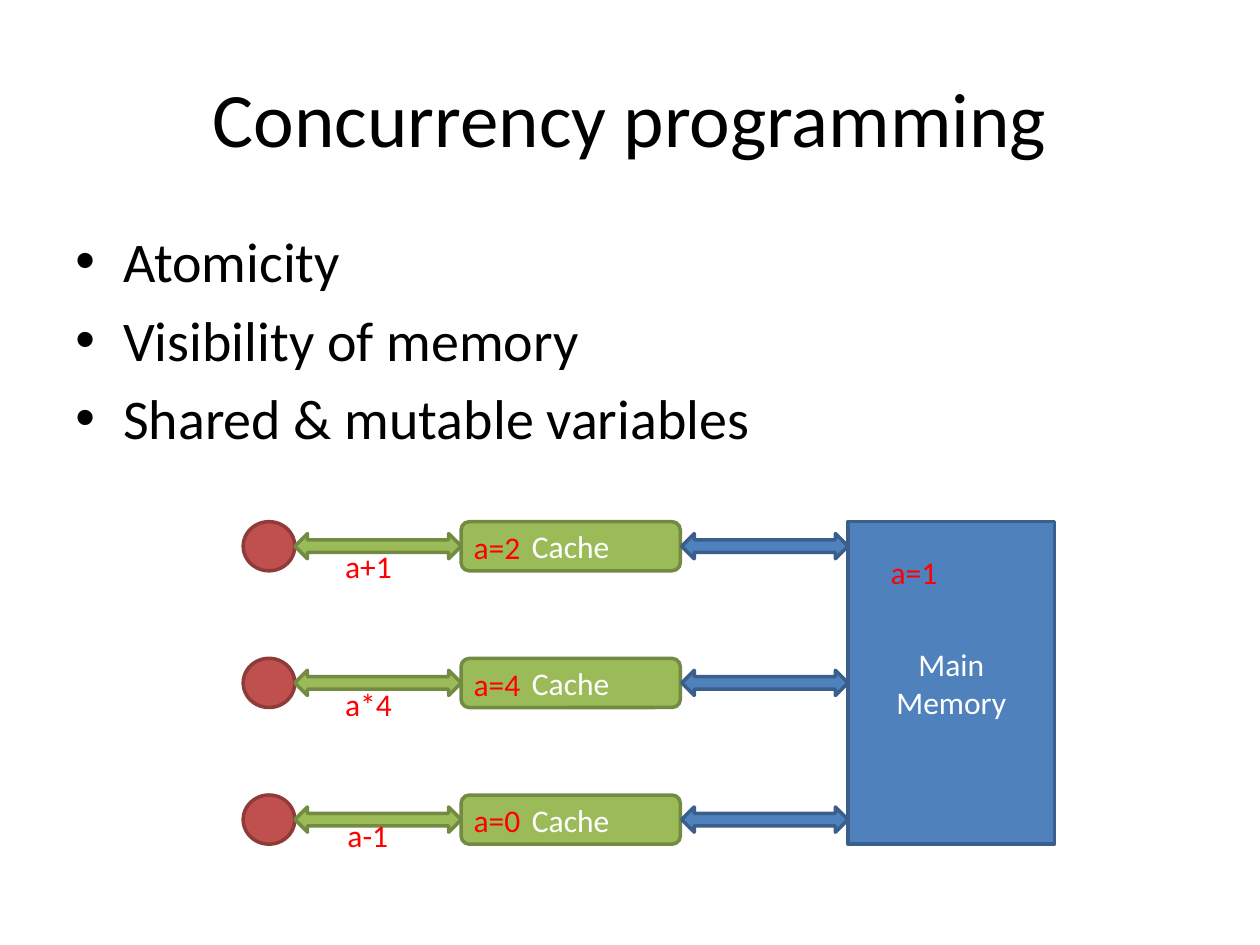
import pptx
import pptx.util
from lxml import etree
from pptx.dml.color import RGBColor
from pptx.enum.shapes import MSO_SHAPE
from pptx.enum.text import MSO_ANCHOR, MSO_AUTO_SIZE, PP_ALIGN
from pptx.oxml.ns import qn

Inches, Pt = pptx.util.Inches, pptx.util.Pt

FONT = "Calibri"
BLACK = RGBColor(0x00, 0x00, 0x00)
WHITE = RGBColor(0xFF, 0xFF, 0xFF)
RED = RGBColor(0xFF, 0x00, 0x00)
# Fill and outline of each kind of part
THREAD = RGBColor(0xC0, 0x50, 0x4D), RGBColor(0x8E, 0x3B, 0x39)
CACHE = RGBColor(0x9B, 0xBB, 0x59), RGBColor(0x73, 0x8A, 0x42)
MEMORY = RGBColor(0x4F, 0x81, 0xBD), RGBColor(0x3A, 0x5F, 0x8C)

# Diagram grid, in inches
TOP, PITCH, ROW_H = 4.14, 1.085, 0.39
THREAD_X, CACHE_X, MEMORY_X = 1.93, 3.66, 6.73
THREAD_W, CACHE_W, MEMORY_W = 0.41, 1.74, 1.64
ARROW_W, ARROW_H = 1.32, 0.2

# Cached value, operation, and the operation label's left, drop and width
ROWS = [
    ("a=2", "a+1", 2.64, 0.15, 0.58),
    ("a=4", "a*4", 2.64, 0.16, 0.58),
    ("a=0", "a-1", 2.66, 0.12, 0.53),
]
TOPICS = ["Atomicity", "Visibility of memory", "Shared & mutable variables"]


def style(paragraph, size, color, align=PP_ALIGN.LEFT):
    paragraph.alignment = align
    font = paragraph.font
    font.name, font.size = FONT, Pt(size)
    font.color.rgb = color


def add_title(slide, text):
    title = slide.shapes.title
    title.left, title.top = Inches(0.5), Inches(0.3)
    title.width, title.height = Inches(9), Inches(1.25)
    title.text_frame.text = text
    title.text_frame.vertical_anchor = MSO_ANCHOR.MIDDLE
    style(title.text_frame.paragraphs[0], 44, BLACK, PP_ALIGN.CENTER)


def add_bullets(slide, topics):
    box = slide.shapes.add_textbox(Inches(0.5), Inches(1.75), Inches(9), Inches(4.95))
    frame = box.text_frame
    frame.word_wrap = True
    frame.text = "\n".join(topics)
    for paragraph in frame.paragraphs:
        style(paragraph, 32, BLACK)
        paragraph.space_before = Pt(6.4)
        # Hanging bullet
        properties = paragraph._p.get_or_add_pPr()
        properties.set("marL", str(Inches(0.38)))
        properties.set("indent", str(Inches(-0.38)))
        etree.SubElement(properties, qn("a:buFont")).set("typeface", "Arial")
        etree.SubElement(properties, qn("a:buChar")).set("char", "•")
        # Character defaults come last in the schema
        properties.append(properties.find(qn("a:defRPr")))


def add_part(shapes, kind, x, y, w, h, colors, text=None):
    part = shapes.add_shape(kind, Inches(x), Inches(y), Inches(w), Inches(h))
    part.shadow.inherit = False
    fill, outline = colors
    part.fill.solid()
    part.fill.fore_color.rgb = fill
    part.line.color.rgb = outline
    part.line.width = Pt(2)
    if text:
        frame = part.text_frame
        frame.text = text
        frame.word_wrap = True
        frame.margin_left = frame.margin_right = Inches(0.12)
        frame.vertical_anchor = MSO_ANCHOR.MIDDLE
        style(frame.paragraphs[0], 18, WHITE, PP_ALIGN.CENTER)


def add_value(shapes, text, x, y, w=0.58):
    value = shapes.add_textbox(Inches(x), Inches(y), Inches(w), Inches(0.4))
    frame = value.text_frame
    frame.text = text
    frame.word_wrap = False
    frame.auto_size = MSO_AUTO_SIZE.SHAPE_TO_FIT_TEXT
    style(frame.paragraphs[0], 18, RED)


def add_diagram(slide):
    shapes = slide.shapes.add_group_shape().shapes
    memory_h = PITCH * (len(ROWS) - 1) + ROW_H
    add_part(shapes, MSO_SHAPE.RECTANGLE, MEMORY_X, TOP, MEMORY_W, memory_h,
             MEMORY, "Main Memory")

    # One thread, its cache and both links per row
    for row in range(len(ROWS)):
        y = TOP + row * PITCH
        arrow_y = y + (ROW_H - ARROW_H) / 2
        add_part(shapes, MSO_SHAPE.OVAL, THREAD_X, y, THREAD_W, ROW_H, THREAD)
        add_part(shapes, MSO_SHAPE.ROUNDED_RECTANGLE, CACHE_X, y, CACHE_W, ROW_H,
                 CACHE, "Cache")
        for x, colors in ((THREAD_X + THREAD_W, CACHE), (MEMORY_X - ARROW_W, MEMORY)):
            add_part(shapes, MSO_SHAPE.LEFT_RIGHT_ARROW, x, arrow_y,
                     ARROW_W, ARROW_H, colors)

    # Values of the shared variable
    add_value(shapes, "a=1", 6.97, 4.34)
    for row, (cached, operation, x, drop, width) in enumerate(ROWS):
        y = TOP + row * PITCH
        add_value(shapes, cached, CACHE_X, y)
        add_value(shapes, operation, x, y + drop, width)


def main():
    deck = pptx.Presentation()
    deck.slide_width, deck.slide_height = Inches(10), Inches(7.5)
    slide = deck.slides.add_slide(deck.slide_layouts[5])
    add_title(slide, "Concurrency programming")
    add_bullets(slide, TOPICS)
    add_diagram(slide)
    deck.save("out.pptx")


if __name__ == "__main__":
    main()
